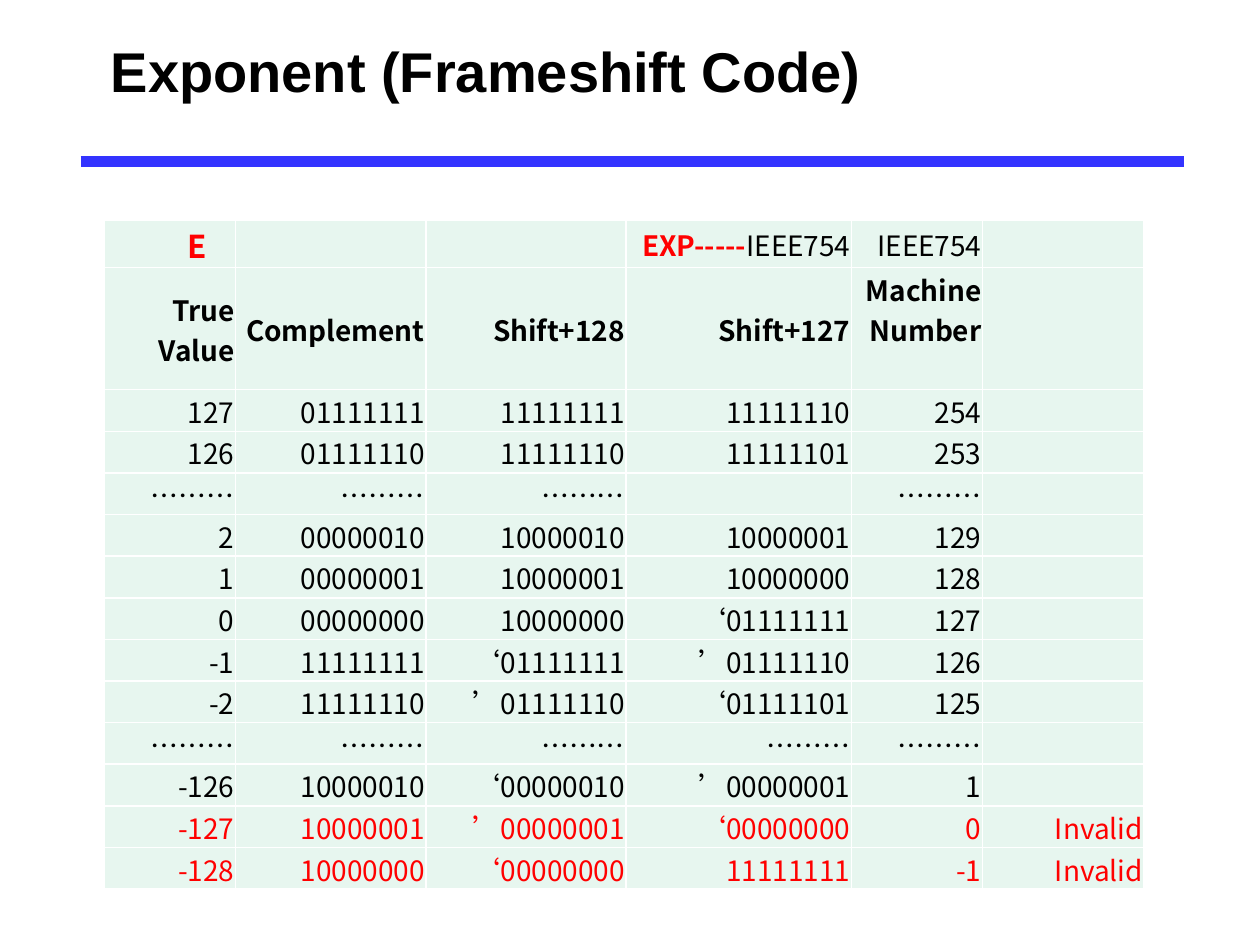
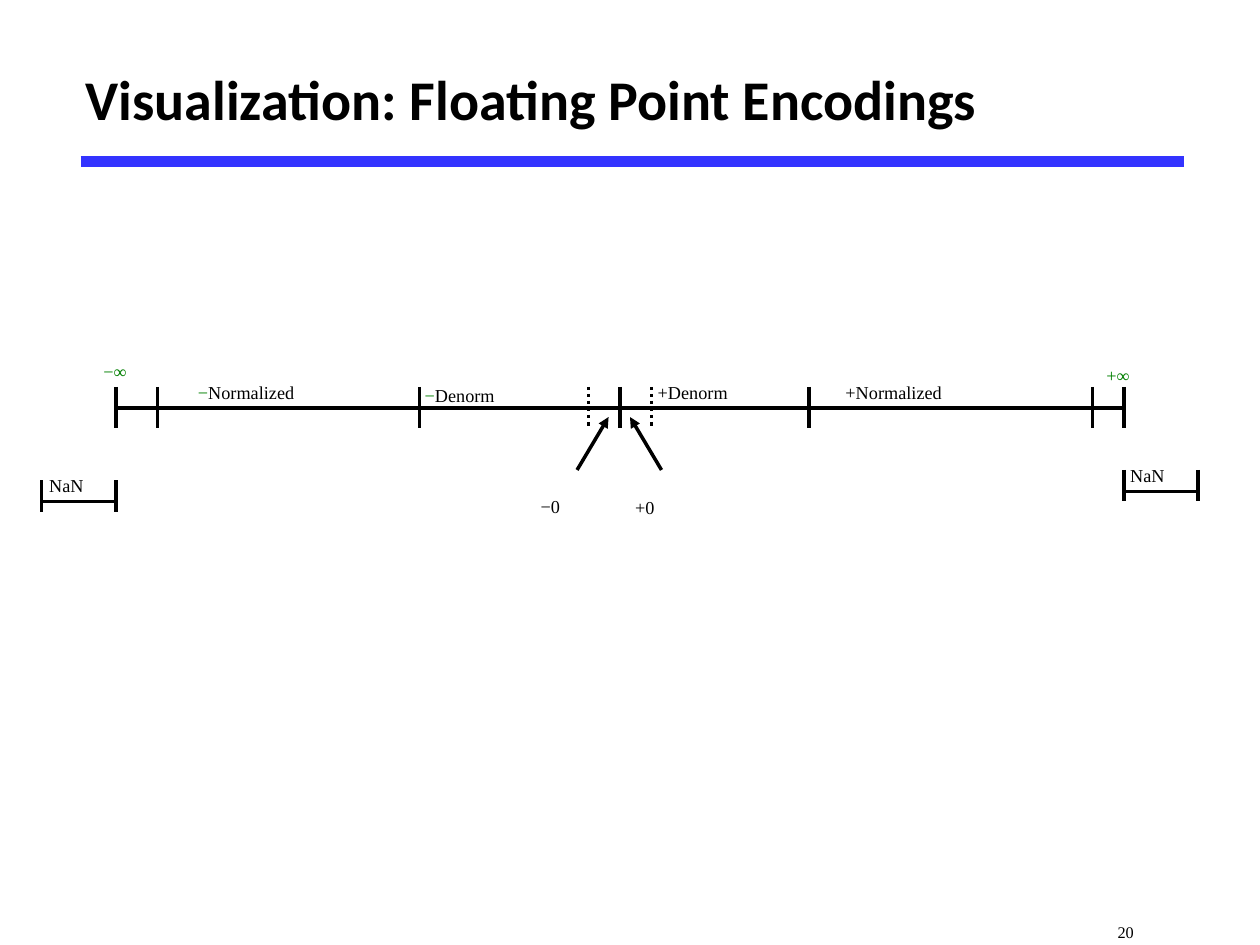
from lxml.etree import SubElement
from pptx import Presentation
from pptx.dml.color import RGBColor
from pptx.enum.dml import MSO_LINE
from pptx.enum.shapes import MSO_CONNECTOR
from pptx.enum.text import MSO_ANCHOR, MSO_AUTO_SIZE, PP_ALIGN
from pptx.oxml.ns import qn
from pptx.util import Emu, Pt

SCALE = 9144  # EMU in one px, at 100 px to the inch
COLOURS = {"ink": "000000", "rule": "3333FF", "cell": "E7F6EF",
           "border": "FFFFFF", "alert": "FF0000", "infinity": "008000"}
TABLE_FONT = "Noto Sans CJK SC"
STYLES = {
    "plain": {"name": TABLE_FONT, "size": Pt(16), "bold": False},
    "head": {"name": TABLE_FONT, "size": Pt(16), "bold": True},
    "big": {"name": TABLE_FONT, "size": Pt(18), "bold": True},
    "label": {"name": "Times New Roman", "size": Pt(18)},
    "number": {"name": "Times New Roman", "size": Pt(16)},
}
DOTS = "………"
COLUMN_WIDTHS = [104, 151, 159, 179, 104, 128]
ROW_HEIGHT = 32
HEAD_ROWS = [
    [[("E", "big", "alert"), ("　", "plain", "ink")], "", "",
     [("EXP-----", "head", "alert"), ("IEEE754", "plain", "ink")], "IEEE754", ""],
    ["True Value", "Complement", "Shift+128", "Shift+127", "Machine Number　", ""],
]
VALUE_ROWS = [
    ["127", "01111111", "11111111", "11111110", "254", ""],
    ["126", "01111110", "11111110", "11111101", "253", ""],
    [DOTS, DOTS, DOTS, "", DOTS, ""],
    ["2", "00000010", "10000010", "10000001", "129", ""],
    ["1", "00000001", "10000001", "10000000", "128", ""],
    ["0", "00000000", "10000000", "‘01111111", "127", ""],
    ["-1", "11111111", "‘01111111", "’01111110", "126", ""],
    ["-2", "11111110", "’01111110", "‘01111101", "125", ""],
    [DOTS, DOTS, DOTS, DOTS, DOTS, ""],
    ["-126", "10000010", "‘00000010", "’00000001", "1", ""],
    ["-127", "10000001", "’00000001", "‘00000000", "0", "Invalid"],
    ["-128", "10000000", "‘00000000", "11111111", "-1", "Invalid"],
]


def px(length):
    return Emu(length * SCALE)


def colour(name):
    return RGBColor.from_string(COLOURS[name])


def set_attributes(target, values):
    for name, value in values.items():
        setattr(target, name, value)


def add_span(para, text, style, ink="ink", lowered=False):
    span = para.add_run()
    span.text = text
    set_attributes(span.font, STYLES[style])
    span.font.color.rgb = colour(ink)
    properties = span._r.get_or_add_rPr()
    SubElement(properties, qn("a:ea")).set("typeface", STYLES[style]["name"])
    if lowered:
        properties.set("baseline", "-25000")


def add_line(page, start, end, ink="ink", width=2, dotted=False, arrow=False):
    points = [px(length) for length in (*start, *end)]
    line = page.shapes.add_connector(MSO_CONNECTOR.STRAIGHT, *points)
    line.line.color.rgb = colour(ink)
    line.line.width = Pt(width)
    if dotted:
        line.line.dash_style = MSO_LINE.ROUND_DOT
    if arrow:
        SubElement(line.line._get_or_add_ln(), qn("a:tailEnd")).set("type", "triangle")
    SubElement(line._element.spPr, qn("a:effectLst"))
    return line


def add_rule_to_layout(page):
    """Draw the blue rule and hand it to the layout that all pages share."""
    rule = add_line(page, (64, 128), (940, 128), "rule", 6)
    page.slide_layout.shapes._spTree.append(rule._element)


def set_title(page, text, font_name, box, hanging=0):
    title = page.shapes.title
    set_attributes(title, dict(zip(("left", "top", "width", "height"), map(px, box))))
    title.text_frame.text = text
    set_attributes(title.text_frame, {"vertical_anchor": MSO_ANCHOR.MIDDLE,
                                      "word_wrap": True,
                                      "auto_size": MSO_AUTO_SIZE.NONE})
    para = title.text_frame.paragraphs[0]
    para.alignment = PP_ALIGN.LEFT
    if hanging:
        properties = para._p.get_or_add_pPr()
        properties.set("marL", str(px(hanging)))
        properties.set("indent", str(px(-hanging)))
    set_attributes(para.runs[0].font, {"name": font_name, "size": Pt(32), "bold": True})
    para.runs[0].font.color.rgb = colour("ink")


def add_borders(cell):
    properties = cell._tc.get_or_add_tcPr()
    for index, side in enumerate(("lnL", "lnR", "lnT", "lnB")):
        border = properties.makeelement(qn(f"a:{side}"), {"w": str(Pt(1))})
        fill = SubElement(border, qn("a:solidFill"))
        SubElement(fill, qn("a:srgbClr")).set("val", COLOURS["border"])
        properties.insert(index, border)


def fill_cell(cell, content, style, ink):
    set_attributes(cell, {"margin_left": px(1), "margin_right": px(1),
                          "margin_top": px(1), "margin_bottom": 0,
                          "vertical_anchor": MSO_ANCHOR.MIDDLE})
    cell.fill.solid()
    cell.fill.fore_color.rgb = colour("cell")
    add_borders(cell)
    para = cell.text_frame.paragraphs[0]
    para.alignment = PP_ALIGN.RIGHT
    if not content:
        SubElement(para._p, qn("a:endParaRPr")).set("sz", "1600")
        return
    spans = [(content, style, ink)] if isinstance(content, str) else content
    for span in spans:
        add_span(para, *span)


def exponent_table(page, left, top):
    rows = HEAD_ROWS + VALUE_ROWS
    frame = page.shapes.add_table(len(rows), len(COLUMN_WIDTHS), px(left), px(top),
                                  px(sum(COLUMN_WIDTHS)), px(ROW_HEIGHT * len(rows)))
    table = frame.table
    set_attributes(table, {"first_row": False, "horz_banding": False})
    for column, width in zip(table.columns, COLUMN_WIDTHS):
        column.width = px(width)
    for row_index, row in enumerate(rows):
        table.rows[row_index].height = px(ROW_HEIGHT)
        style = "head" if row_index == 1 else "plain"
        ink = "alert" if row[-1] == "Invalid" else "ink"
        for column_index, content in enumerate(row):
            fill_cell(table.cell(row_index, column_index), content, style, ink)


def add_label(page, left, top, width, text, ink="ink", green_sign=False):
    box = page.shapes.add_textbox(px(left), px(top), px(width), px(39))
    sides = ("left", "right", "top", "bottom")
    set_attributes(box.text_frame, {f"margin_{side}": px(4) for side in sides})
    set_attributes(box.text_frame, {"word_wrap": False,
                                    "auto_size": MSO_AUTO_SIZE.SHAPE_TO_FIT_TEXT})
    para = box.text_frame.paragraphs[0]
    if green_sign:
        add_span(para, text[0], "label", "infinity", lowered=True)
        text = text[1:]
    add_span(para, text, "label", ink, lowered=True)


def number_line(page, left, top):
    length, height, middle = 800, 33, 17
    add_line(page, (left, top + middle), (left + length, top + middle))
    for tick in (0, 33, 241, 375, 400, 425, 550, 775, length):
        add_line(page, (left + tick, top), (left + tick, top + height),
                 dotted=tick in (375, 425))
    for tail, head in ((366, 391), (433, 408)):
        add_line(page, (left + tail, top + 66), (left + head, top + 24), arrow=True)
    labels = [
        (-14, -42, 41, "−∞", "infinity"), (782, -39, 41, "+∞", "infinity"),
        (61, -25, 151, "−Normalized", "ink", True), (575, -25, 151, "+Normalized"),
        (241, -23, 113, "−Denorm", "ink", True), (426, -25, 113, "+Denorm"),
        (333, 65, 36, "−0"), (408, 66, 37, "+0"),
    ]
    for across, down, *label in labels:
        add_label(page, left + across, top + down, *label)


def nan_bracket(page, left, top, label_left):
    width, height, middle = 59, 25, 17
    add_line(page, (left, top + middle), (left + width, top + middle))
    for side in (left, left + width):
        add_line(page, (side, top), (side, top + height))
    add_label(page, left + label_left, top - 25, 59, "NaN")


def page_number(page, left, top, number):
    box = page.shapes.add_textbox(px(left), px(top), px(210), px(38))
    set_attributes(box.text_frame, {"word_wrap": True, "margin_left": px(97)})
    add_span(box.text_frame.paragraphs[0], number, "number", lowered=True)


def exponent_page(deck, layout):
    page = deck.slides.add_slide(layout)
    add_rule_to_layout(page)
    set_title(page, "Exponent (Frameshift Code)", "Arial", (78, 0, 850, 112))
    exponent_table(page, 83, 175)


def encodings_page(deck, layout):
    page = deck.slides.add_slide(layout)
    set_title(page, "Visualization: Floating Point Encodings", "Calibri",
              (58, 18, 884, 120), hanging=9)
    number_line(page, 92, 307)
    nan_bracket(page, 33, 381, 2)
    nan_bracket(page, 892, 373, 1)
    page_number(page, 790, 712, "20")


def main():
    deck = Presentation()
    set_attributes(deck, {"slide_width": px(1000), "slide_height": px(750)})
    title_only = deck.slide_layouts[5]
    exponent_page(deck, title_only)
    encodings_page(deck, title_only)
    deck.save("out.pptx")


if __name__ == "__main__":
    main()
